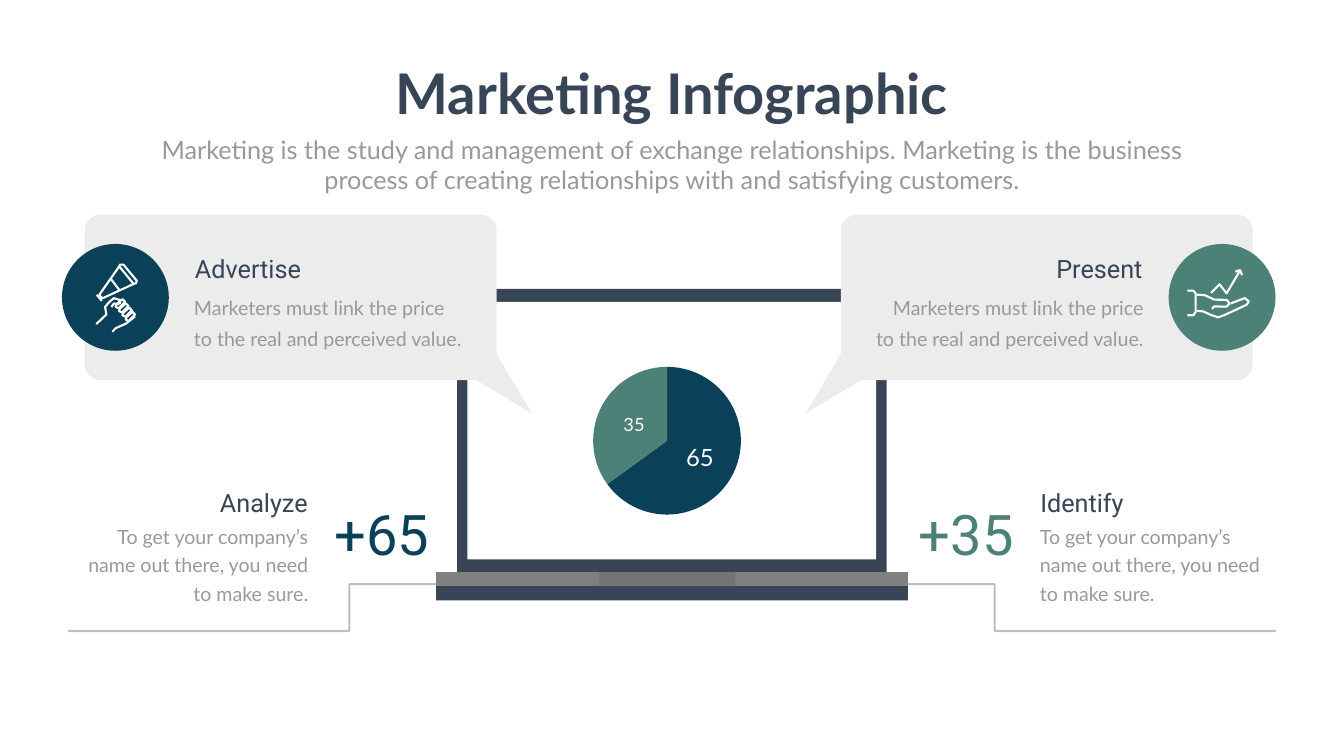
"""Build the Marketing Infographic slide: a laptop with a pie, two callouts and two figures."""
from dataclasses import dataclass

from lxml.etree import SubElement
from pptx import Presentation
from pptx.chart.data import CategoryChartData
from pptx.dml.color import RGBColor
from pptx.enum.chart import XL_CHART_TYPE, XL_LABEL_POSITION
from pptx.enum.shapes import MSO_CONNECTOR, MSO_SHAPE
from pptx.enum.text import MSO_ANCHOR, MSO_AUTO_SIZE, PP_ALIGN
from pptx.oxml.ns import qn
from pptx.util import Pt

PAPER = RGBColor(0xFE, 0xFF, 0xFE)
WHITE = RGBColor(0xFF, 0xFF, 0xFF)
SLATE = RGBColor(0x37, 0x45, 0x56)
NAVY = RGBColor(0x0B, 0x40, 0x59)
GREEN = RGBColor(0x4C, 0x81, 0x77)
TEXT_GRAY = RGBColor(0x99, 0x99, 0x99)
BUBBLE = RGBColor(0xEC, 0xEC, 0xEC)
METAL = RGBColor(0x80, 0x80, 0x80)
NOTCH = RGBColor(0x73, 0x73, 0x73)

SLIDE_W, SLIDE_H = 1919.5, 1080
CALLOUT_SPAN = 1910.2
FIGURE_SPAN = 1925.3
CIRCLE_LEFT, CIRCLE_TOP, CIRCLE_SIZE = 88.5, 348.5, 152.6

Points = list[tuple[float, float]]


@dataclass(frozen=True)
class Callout:
    heading: str
    body: str
    color: RGBColor
    icon: list[Points]
    mirrored: bool


@dataclass(frozen=True)
class Figure:
    value: str
    heading: str
    body: str
    color: RGBColor
    mirrored: bool


FINGER = [(82.8, 92.2), (91.4, 85), (95, 88.6), (85.7, 97.9), (81.4, 95.8), (82.8, 92.2)]
MEGAPHONE = [
    [(82.1, 31.7), (53.3, 72.7), (57.6, 77.8), (103, 56.9)],
    [(82.8, 29.5), (87.8, 29.5), (106.9, 52.6), (105.8, 56.2), (102.2, 56.9),
     (82.1, 32.4), (82.8, 29.5)],
    [(70.2, 50.4), (82.1, 65.9)],
    [(49.7, 72.7), (56.9, 81.4)],
    [(49, 114.5), (63.4, 100.8), (61.6, 90), (67.7, 82.8), (74.2, 77.4), (84.2, 80.6)],
    [(70.6, 90), (74.2, 85), (79.9, 86), (84.2, 83.5)],
    [(72, 125.3), (77, 120.2), (91.4, 113.8), (104.4, 103.7)],
] + [[(x + 4.8 * i, y + 6.1 * i) for x, y in FINGER] for i in range(-1, 3)]
GROWTH_HAND = [
    [(60.5, 70), (72.7, 57.6), (82.8, 70.6), (102.2, 37.4)],
    [(95, 39.6), (102.2, 37.4), (104.8, 44.6)],
    [(26.6, 66.6), (35.3, 66.6), (38.5, 70.6), (38.5, 97.2), (35.3, 101.9), (26.6, 101.9)],
    [(39.6, 72.4), (51.1, 73.1), (58.3, 76.3), (65.5, 79.6), (82.8, 79.9), (87.1, 85),
     (82.8, 89.6), (64.8, 89.3), (61.9, 92.9)],
    [(40.3, 95.4), (49.7, 96.5), (59.8, 101.2), (70.6, 104.8), (79.9, 101.5),
     (111.6, 86.8), (114.5, 82.1), (108.7, 77.4), (88.6, 85)],
]

PRICE = "Marketers must link the price to the real and perceived value."
NAME = "To get your company’s name out there, you need to make sure."
CALLOUTS = [
    Callout("Advertise", PRICE, NAVY, MEGAPHONE, False),
    Callout("Present", PRICE, GREEN, GROWTH_HAND, True),
]
FIGURES = [
    Figure("+65", "Analyze", NAME, NAVY, False),
    Figure("+35", "Identify", NAME, GREEN, True),
]
LAPTOP = [
    (653, 412.6, 613.4, 404.6, SLATE),
    (667.4, 431.3, 583.9, 367.9, WHITE),
    (622.8, 817.2, 673.9, 20.2, METAL),
    (622.8, 837.4, 673.9, 20.2, SLATE),
    (856, 817.2, 194.4, 20.2, NOTCH),
]


def place(left: float, width: float, span: float, mirrored: bool) -> float:
    """Return the left edge, reflected within the span when mirrored."""
    return span - left - width if mirrored else left


def add_block(slide, kind, left: float, top: float, width: float, height: float,
              color: RGBColor):
    """Add a filled preset shape without a line."""
    sp = slide.shapes.add_shape(kind, Pt(left), Pt(top), Pt(width), Pt(height))
    sp.shadow.inherit = False
    sp.fill.solid()
    sp.fill.fore_color.rgb = color
    sp.line.fill.background()
    return sp


def add_path(slide, points: Points, close: bool):
    """Add a freeform through the points."""
    start, *rest = [(Pt(x), Pt(y)) for x, y in points]
    builder = slide.shapes.build_freeform(*start, scale=1.0)
    builder.add_line_segments(rest, close=close)
    sp = builder.convert_to_shape()
    sp.shadow.inherit = False
    return sp


def write(sp, text: str, font: str, size: float, color: RGBColor, align=PP_ALIGN.LEFT,
          spacing: float | None = None, bold: bool = False) -> None:
    """Fill a text shape with one formatted paragraph."""
    tf = sp.text_frame
    tf.word_wrap = True
    tf.auto_size = MSO_AUTO_SIZE.NONE
    tf.vertical_anchor = MSO_ANCHOR.TOP
    p = tf.paragraphs[0]
    p.text = text
    p.alignment = align
    if spacing:
        p.line_spacing = Pt(spacing)
    p.font.name, p.font.size, p.font.bold = font, Pt(size), bold
    p.font.color.rgb = color


def add_text(slide, left: float, top: float, width: float, height: float, *style) -> None:
    """Add a text box and write into it."""
    write(slide.shapes.add_textbox(Pt(left), Pt(top), Pt(width), Pt(height)), *style)


def add_cable(slide, mirrored: bool) -> None:
    """Add the stepped half-transparent line beside the laptop."""
    x1, x2 = (place(x, 0, SLIDE_W, mirrored) for x in (900.7, 97.2))
    cable = slide.shapes.add_connector(MSO_CONNECTOR.ELBOW, Pt(x1), Pt(834.5), Pt(x2), Pt(901.4))
    cable.line.width = Pt(3)
    cable.line.color.rgb = METAL
    SubElement(next(cable.line._ln.iter(qn("a:srgbClr"))), qn("a:alpha"), val="50000")
    SubElement(cable._element.spPr, qn("a:effectLst"))


def add_pie(slide) -> None:
    """Add the two-slice pie on the laptop screen."""
    data = CategoryChartData()
    data.categories = ["1", "2"]
    data.add_series("Series 1", (65, 35))
    chart = slide.shapes.add_chart(XL_CHART_TYPE.PIE, Pt(836.6), Pt(504), Pt(247), Pt(251.3),
                                   data).chart
    chart.has_legend = chart.has_title = False
    chart.font.name, chart.font.size = "Calibri", Pt(10)
    chart.font.color.rgb = TEXT_GRAY
    plot = chart.plots[0]
    plot.vary_by_categories = True
    layout = plot._element.getparent().get_or_add_layout() if hasattr(
        plot._element.getparent(), "get_or_add_layout") else plot._element.getparent().find(qn("c:layout"))
    if layout is None:
        layout = SubElement(plot._element.getparent(), qn("c:layout"))
        plot._element.getparent().insert(0, layout)
    manual = SubElement(layout, qn("c:manualLayout"))
    for tag, val in (("layoutTarget", "inner"), ("xMode", "edge"), ("yMode", "edge"),
                     ("x", "0.04"), ("y", "0.08"), ("w", "0.86"), ("h", "0.84")):
        SubElement(manual, qn(f"c:{tag}"), val=val)
    for i, (color, size) in enumerate(((NAVY, 34), (GREEN, 26))):
        point = plot.series[0].points[i]
        point.format.fill.solid()
        point.format.fill.fore_color.rgb = color
        point.format.line.fill.background()
        label = point.data_label
        label.font.name, label.font.size = "Lato", Pt(size)
        label.font.color.rgb = WHITE
        label.position = XL_LABEL_POSITION.CENTER


def add_callout(slide, c: Callout) -> None:
    """Add a speech bubble with its icon and text."""
    def at(left: float, width: float) -> float:
        return place(left, width, CALLOUT_SPAN, c.mirrored)

    align = PP_ALIGN.RIGHT if c.mirrored else PP_ALIGN.LEFT
    bubble = add_block(slide, MSO_SHAPE.ROUNDED_RECTANGLE, at(121, 588.2), 306.7, 588.2, 236.2,
                       BUBBLE)
    bubble.adjustments[0] = 0.096
    tail = add_path(slide, [(at(x, 0), y) for x, y in ((759.6, 590.4), (703.4, 496), (665.3, 534.2))],
                    True)
    tail.fill.solid()
    tail.fill.fore_color.rgb = BUBBLE
    tail.line.fill.background()
    left = at(CIRCLE_LEFT, CIRCLE_SIZE)
    add_block(slide, MSO_SHAPE.OVAL, left, CIRCLE_TOP, CIRCLE_SIZE, CIRCLE_SIZE, c.color)
    for stroke in c.icon:
        sp = add_path(slide, [(left + x, CIRCLE_TOP + y) for x, y in stroke], False)
        sp.fill.background()
        sp.line.color.rgb = WHITE
        sp.line.width = Pt(3)
    add_text(slide, at(271.4, 397), 357.8, 397, 51.1, c.heading, "Roboto", 36, SLATE, align)
    add_text(slide, at(270, 398.2), 410.4, 398.2, 89.3, c.body, "Lato", 28, TEXT_GRAY, align, 43)


def add_figure(slide, f: Figure) -> None:
    """Add a large number with its heading and text."""
    def at(left: float, width: float) -> float:
        return place(left, width, FIGURE_SPAN, f.mirrored)

    align = PP_ALIGN.LEFT if f.mirrored else PP_ALIGN.RIGHT
    add_text(slide, at(97.2, 350), 738.7, 350, 127.4, f.body, "Lato", 28, TEXT_GRAY, align, 40.8)
    add_text(slide, at(34.6, 412), 691.9, 412, 51.1, f.heading, "Roboto", 36, SLATE, align)
    add_text(slide, at(455, 165), 710.6, 165, 104.4, f.value, "Roboto", 80, f.color, align)


def main() -> None:
    """Build and save the slide."""
    prs = Presentation()
    prs.slide_width, prs.slide_height = Pt(SLIDE_W), Pt(SLIDE_H)
    s = prs.slides.add_slide(prs.slide_layouts[5])
    s.background.fill.solid()
    s.background.fill.fore_color.rgb = PAPER
    title = s.shapes.title
    title.left, title.top, title.width, title.height = Pt(547.9), Pt(80.6), Pt(823.7), Pt(104.4)
    write(title, "Marketing Infographic", "Lato", 80, SLATE, PP_ALIGN.CENTER, None, True)
    add_text(s, 210.2, 187.9, 1499, 94.3,
             "Marketing is the study and management of exchange relationships. Marketing is the "
             "business process of creating relationships with and satisfying customers.",
             "Lato", 36, TEXT_GRAY, PP_ALIGN.CENTER)
    for mirrored in (False, True):
        add_cable(s, mirrored)
    for *box, color in LAPTOP:
        add_block(s, MSO_SHAPE.RECTANGLE, *box, color)
    add_pie(s)
    for figure in FIGURES:
        add_figure(s, figure)
    for callout in CALLOUTS:
        add_callout(s, callout)
    prs.save("out.pptx")


if __name__ == "__main__":
    main()
